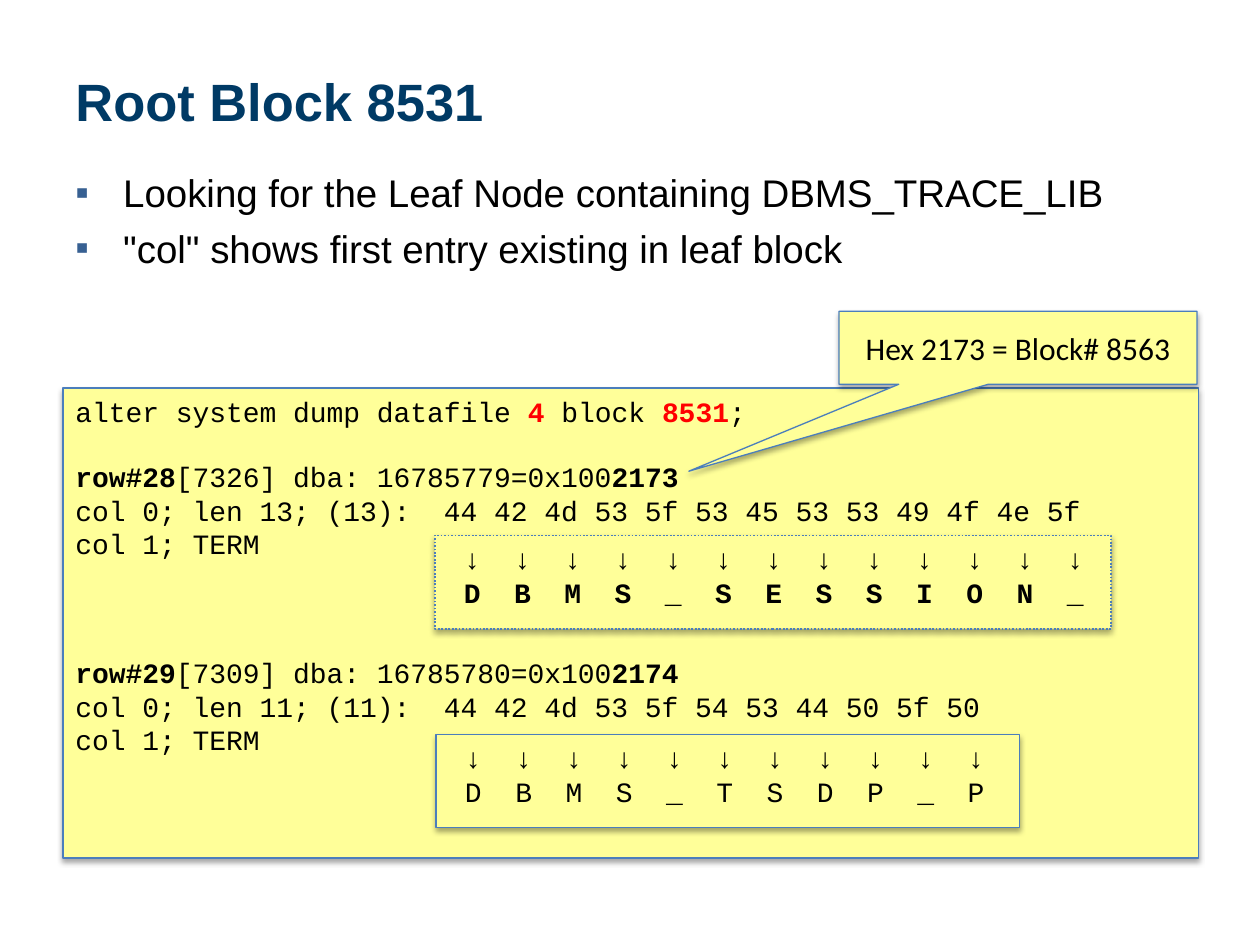
from lxml.etree import SubElement
from pptx import Presentation
from pptx.dml.color import RGBColor
from pptx.enum.dml import MSO_LINE
from pptx.enum.shapes import MSO_SHAPE
from pptx.enum.text import MSO_ANCHOR, PP_ALIGN
from pptx.oxml.ns import qn
from pptx.util import Inches, Pt

COLORS = {
    "title": "003A65",
    "text": "000000",
    "bullet": "376092",
    "panel": "FFFF99",
    "outline": "4B7EBC",
    "highlight": "FF0000",
    "shadow": "000000",
}
CODE_FONT = "Courier New"
LINE_HEIGHT = 18.13

DUMP_LINES = [
    (0, [("alter system dump datafile ", ""), ("4", "highlight"), (" block ", ""),
         ("8531", "highlight"), (";", "")]),
    (1, [("row#28", "text"), ("[7326] dba: 16785779=0x100", ""), ("2173", "text")]),
    (0, [("col 0; len 13; (13):  44 42 4d 53 5f 53 45 53 53 49 4f 4e 5f", "")]),
    (0, [("col 1; TERM", "")]),
    (3, [("row#29", "text"), ("[7309] dba: 16785780=0x100", ""), ("2174", "text")]),
    (0, [("col 0; len 11; (11):  44 42 4d 53 5f 54 53 44 50 5f 50", "")]),
    (0, [("col 1; TERM", "")]),
]
BULLETS = [
    "Looking for the Leaf Node containing DBMS_TRACE_LIB",
    "\"col\" shows first entry existing in leaf block",
]


def color(name):
    """Return the named palette colour."""
    return RGBColor.from_string(COLORS[name])


def style(paragraph, font_name, size, color_name="text", bold=False):
    """Set the font shared by all runs of a paragraph."""
    font = paragraph.font
    font.name, font.size, font.bold = font_name, Pt(size), bold
    font.color.rgb = color(color_name)


def next_paragraph(frame, index):
    """Return the first paragraph of a frame, or a new one after it."""
    return frame.add_paragraph() if index else frame.paragraphs[0]


def add_shadow(shape):
    """Give a shape a soft shadow that falls straight down."""
    shape.shadow.inherit = False
    effects = shape._element.spPr.find(qn("a:effectLst"))
    shadow = SubElement(effects, qn("a:outerShdw"), blurRad=str(Pt(3.1)),
                        dist=str(Pt(1.8)), dir="5400000", rotWithShape="0")
    tint = SubElement(shadow, qn("a:srgbClr"), val=COLORS["shadow"])
    SubElement(tint, qn("a:alpha"), val="35000")


def add_panel(slide, left, top, width, height, kind=MSO_SHAPE.RECTANGLE):
    """Add a yellow outlined panel with left-aligned text at its top."""
    shape = slide.shapes.add_shape(
        kind, Inches(left), Inches(top), Inches(width), Inches(height))
    shape.fill.solid()
    shape.fill.fore_color.rgb = color("panel")
    shape.line.color.rgb = color("outline")
    shape.line.width = Pt(0.75)
    add_shadow(shape)
    shape.text_frame.word_wrap = True
    shape.text_frame.vertical_anchor = MSO_ANCHOR.TOP
    return shape


def add_text_box(slide, left, top, width, height):
    """Add a wrapping text box and return its text frame."""
    box = slide.shapes.add_textbox(
        Inches(left), Inches(top), Inches(width), Inches(height))
    box.text_frame.word_wrap = True
    return box.text_frame


def add_title(slide, text):
    """Add the slide title."""
    frame = add_text_box(slide, 0.5, 0.3, 9.01, 0.99)
    frame.vertical_anchor = MSO_ANCHOR.MIDDLE
    frame.text = text
    style(frame.paragraphs[0], "Arial", 30, "title", True)


def add_bullets(slide, items):
    """Add the bulleted introduction."""
    frame = add_text_box(slide, 0.5, 1.29, 8.67, 1.48)
    for index, item in enumerate(items):
        paragraph = next_paragraph(frame, index)
        paragraph.text = item
        properties = paragraph._p.get_or_add_pPr()
        properties.set("marL", str(Inches(0.38)))
        properties.set("indent", str(Inches(-0.38)))
        bullet_color = SubElement(properties, qn("a:buClr"))
        SubElement(bullet_color, qn("a:srgbClr"), val=COLORS["bullet"])
        SubElement(properties, qn("a:buFont"), typeface="Arial")
        SubElement(properties, qn("a:buChar"), char="▪")
        if index:
            paragraph.space_before = Pt(5.5)
        style(paragraph, "Arial", 22)


def add_dump(slide, lines):
    """Add the block dump, with gaps counted in text lines."""
    frame = add_panel(slide, 0.5, 3.08, 9.01, 3.73).text_frame
    for index, (gap, parts) in enumerate(lines):
        paragraph = next_paragraph(frame, index)
        paragraph.alignment = PP_ALIGN.LEFT
        if gap:
            paragraph.space_before = Pt(gap * LINE_HEIGHT)
        style(paragraph, CODE_FONT, 16)
        for text, emphasis in parts:
            run = paragraph.add_run()
            run.text = text
            if emphasis:
                run.font.bold = True
                run.font.color.rgb = color(emphasis)


def add_decoding(slide, left, top, width, letters, bold=False):
    """Add a panel that maps each hex byte above it to its letter."""
    shape = add_panel(slide, left, top, width, 0.74)
    for index, symbols in enumerate(("↓" * len(letters), letters)):
        paragraph = next_paragraph(shape.text_frame, index)
        paragraph.text = " " + "  ".join(symbols)
        paragraph.alignment = PP_ALIGN.LEFT
        style(paragraph, CODE_FONT, 16, bold=bold and index == 1)
    return shape


def add_callout(slide, text):
    """Add the callout that points at the block address."""
    shape = add_panel(slide, 6.66, 2.47, 2.84, 0.58, MSO_SHAPE.RECTANGULAR_CALLOUT)
    shape.adjustments[0] = -0.92
    shape.adjustments[1] = 1.69
    frame = shape.text_frame
    frame.vertical_anchor = MSO_ANCHOR.MIDDLE
    frame.text = text
    frame.paragraphs[0].alignment = PP_ALIGN.CENTER
    style(frame.paragraphs[0], "Calibri", 18)


def main():
    """Build the slide and save it."""
    presentation = Presentation()
    presentation.slide_width = Inches(10)
    presentation.slide_height = Inches(7.5)
    slide = presentation.slides.add_slide(presentation.slide_layouts[6])
    add_dump(slide, DUMP_LINES)
    add_decoding(slide, 3.46, 5.83, 4.63, "DBMS_TSDP_P")
    session = add_decoding(slide, 3.45, 4.25, 5.37, "DBMS_SESSION_", bold=True)
    session.line.width = Pt(1)
    session.line.dash_style = MSO_LINE.ROUND_DOT
    add_title(slide, "Root Block 8531")
    add_bullets(slide, BULLETS)
    add_callout(slide, "Hex 2173 = Block# 8563")
    presentation.save("out.pptx")


if __name__ == "__main__":
    main()
